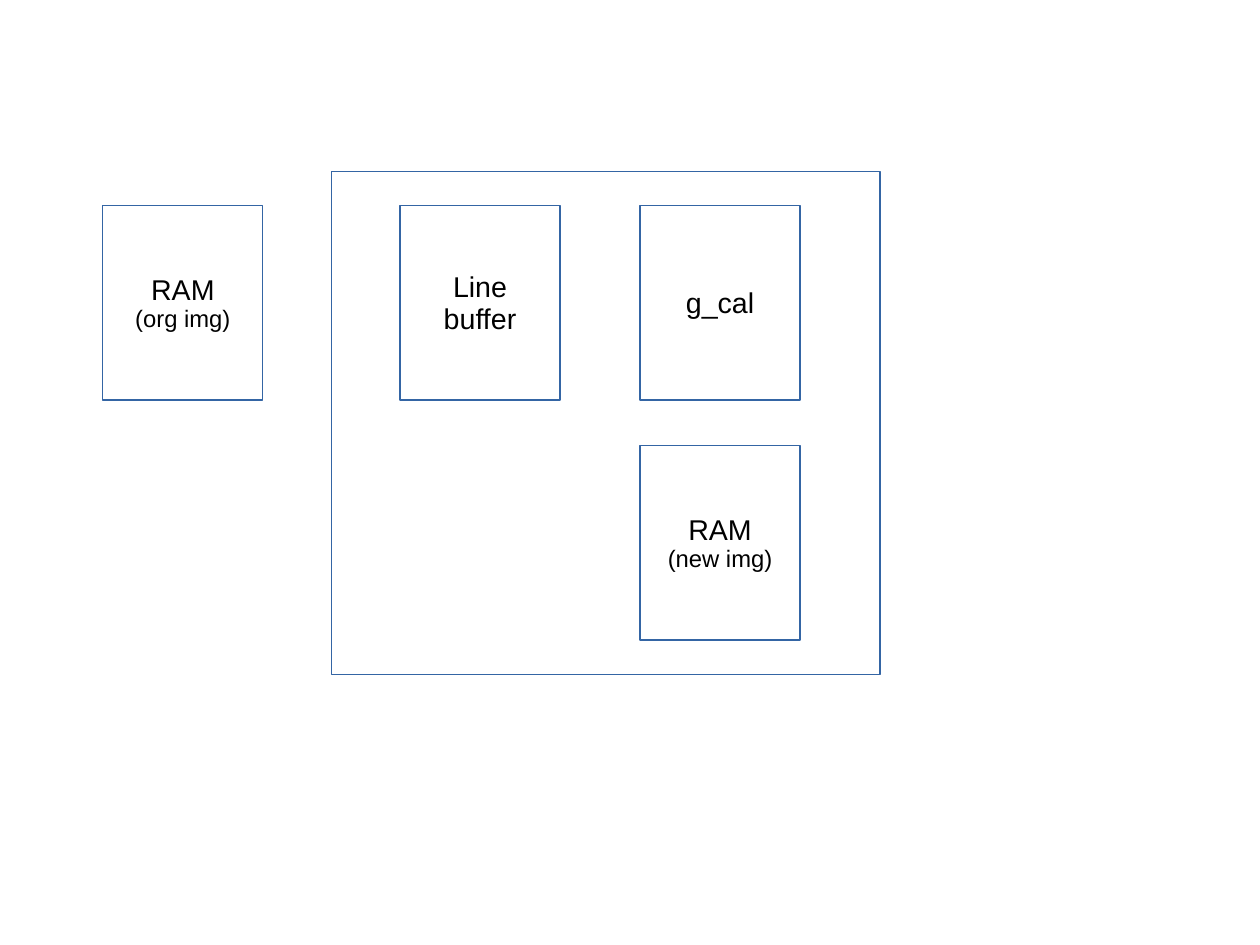
from pptx import Presentation
from pptx.dml.color import RGBColor
from pptx.enum import shapes, text
from pptx.util import Inches, Pt

COLORS = {"line": "3465A4", "fill": "FFFFFF", "text": "000000"}
CM_PER_INCH = 2.54
SLIDE_WIDTH_CM, SLIDE_HEIGHT_CM = 28, 21
BLOCK_WIDTH, BLOCK_HEIGHT = 1.4, 1.7
BLOCKS = [
    (5.6, 1.8, [("g_cal", 18)]),
    (3.5, 1.8, [("Line", 18), ("buffer", 18)]),
    (0.9, 1.8, [("RAM", 18), ("(org img)", 15)]),
    (5.6, 3.9, [("RAM", 18), ("(new img)", 15)]),
]


def color(name):
    return RGBColor.from_string(COLORS[name])


def add_outline(slide, left, top, width, height):
    shape = slide.shapes.add_shape(
        shapes.MSO_SHAPE.RECTANGLE,
        Inches(left), Inches(top), Inches(width), Inches(height),
    )
    shape.shadow.inherit = False
    shape.fill.background()
    shape.line.color.rgb = color("line")
    shape.line.width = Pt(0.75)
    return shape


def add_block(slide, left, top, lines):
    shape = add_outline(slide, left, top, BLOCK_WIDTH, BLOCK_HEIGHT)
    shape.fill.solid()
    shape.fill.fore_color.rgb = color("fill")
    frame = shape.text_frame
    frame.word_wrap = False
    frame.vertical_anchor = text.MSO_ANCHOR.MIDDLE
    frame.margin_left = frame.margin_right = Inches(0.1)
    frame.margin_top = Inches(0.07)
    frame.margin_bottom = Inches(0.05)
    frame.text = "\n".join(label for label, size in lines)
    for paragraph, (label, size) in zip(frame.paragraphs, lines):
        paragraph.alignment = text.PP_ALIGN.CENTER
        paragraph.line_spacing = 0.93
        font = paragraph.runs[0].font
        font.name = "Arial"
        font.size = Pt(size)
        font.color.rgb = color("text")


def main():
    presentation = Presentation()
    presentation.slide_width = Inches(SLIDE_WIDTH_CM / CM_PER_INCH)
    presentation.slide_height = Inches(SLIDE_HEIGHT_CM / CM_PER_INCH)
    slide = presentation.slides.add_slide(presentation.slide_layouts[6])
    for left, top, lines in BLOCKS:
        add_block(slide, left, top, lines)
    add_outline(slide, 2.9, 1.5, 4.8, 4.4)
    presentation.save("out.pptx")


if __name__ == "__main__":
    main()
